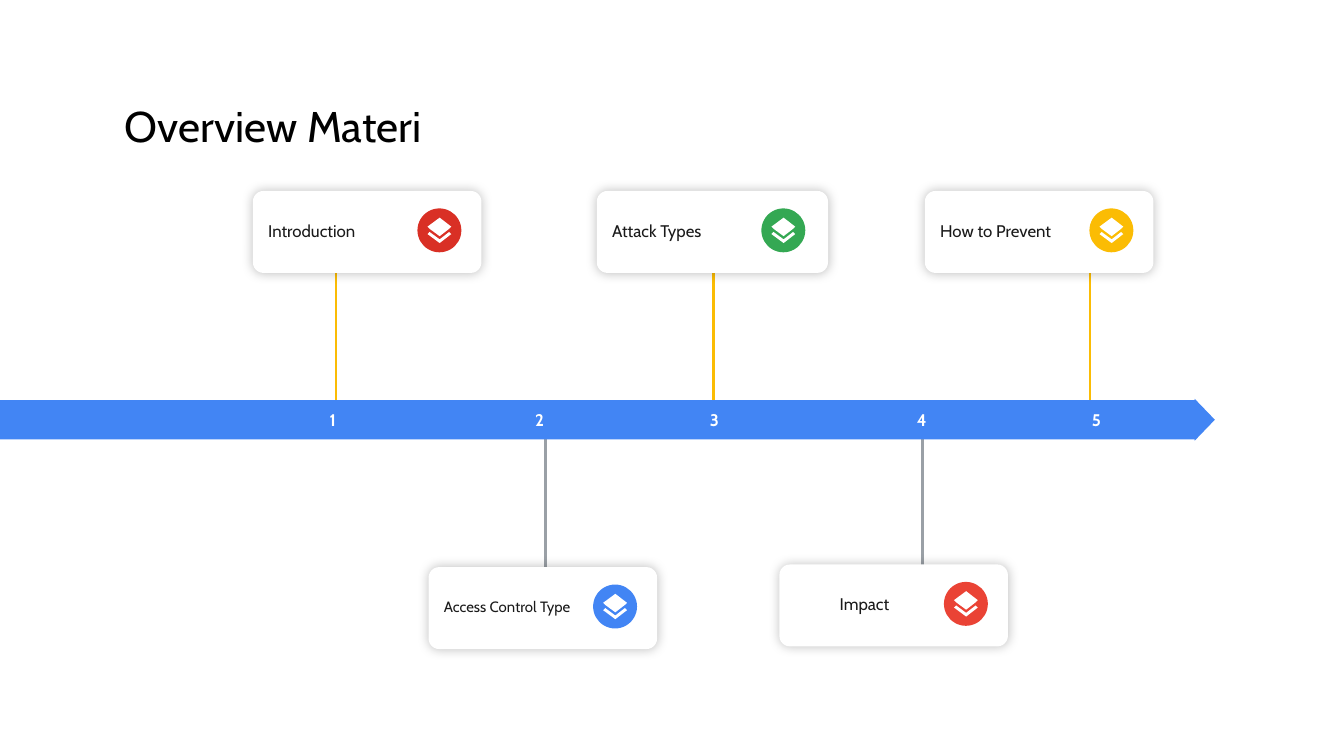
from dataclasses import dataclass

from lxml.etree import SubElement
from pptx import Presentation
from pptx.dml.color import RGBColor
from pptx.enum.shapes import MSO_CONNECTOR as Connector, MSO_SHAPE as Shape
from pptx.enum.text import MSO_ANCHOR as Anchor, PP_ALIGN as Align
from pptx.oxml.ns import qn
from pptx.util import Cm, Pt

FONT = "Cabin"
BAR_TOP, BAR_HEIGHT = 7.54, 0.79
CARD_HEIGHT = 1.55
ICON_SIZE = 0.83
CHEVRON = [(0.23, 0.41), (0.41, 0.27), (0.45, 0.31), (0.23, 0.48), (0, 0.31), (0.04, 0.27)]
DIAMOND = [(0.23, 0.35), (0.04, 0.21), (0, 0.17), (0.23, 0), (0.45, 0.17), (0.41, 0.21)]


@dataclass
class Step:
    label: str
    color: str
    left: float
    top: float
    line_x: float
    number_x: float
    width: float = 4.32
    size: float = 9
    indent: float = 0

    @property
    def above(self):
        return self.top < BAR_TOP


STEPS = [
    Step("Introduction", "D93025", 4.78, 3.61, 6.35, 6.29),
    Step("Access Control Type", "4285F4", 8.1, 10.72, 10.31, 10.2, size=8),
    Step("Attack Types", "34A853", 11.28, 3.61, 13.48, 13.5, width=4.37),
    Step("Impact", "EA4335", 14.73, 10.67, 17.43, 17.42, indent=0.85),
    Step("How to Prevent", "FBBC04", 17.48, 3.61, 20.6, 20.72),
]


def rgb(value):
    return RGBColor.from_string(value)


def write(shape, text, size=9, color="1A1A1A", bold=False, align=Align.LEFT,
          anchor=Anchor.MIDDLE, inset=0, indent=0, spacing=1.0):
    frame = shape.text_frame
    frame.word_wrap = True
    frame.vertical_anchor = anchor
    frame.margin_left = Cm(inset + indent)
    frame.margin_top = frame.margin_right = frame.margin_bottom = Cm(inset)
    para = frame.paragraphs[0]
    para.alignment = align
    para.line_spacing = spacing
    span = para.add_run()
    span.text = text
    span.font.name = FONT
    span.font.size = Pt(size)
    span.font.bold = bold
    span.font.color.rgb = rgb(color)


def paint(shape, color):
    shape.shadow.inherit = False
    shape.fill.solid()
    shape.fill.fore_color.rgb = rgb(color)
    shape.line.fill.background()


def add_filled(page, kind, left, top, width, height, color):
    shape = page.shapes.add_shape(kind, Cm(left), Cm(top), Cm(width), Cm(height))
    paint(shape, color)
    return shape


def add_soft_shadow(shape):
    effects = shape._element.spPr.find(qn("a:effectLst"))
    shadow = SubElement(effects, qn("a:outerShdw"), blurRad=str(Pt(6)), dist="0",
                        algn="ctr", rotWithShape="0")
    black = SubElement(shadow, qn("a:srgbClr"), val="000000")
    SubElement(black, qn("a:alpha"), val="25000")


def add_title(page, left, top, width, height):
    box = page.shapes.add_textbox(Cm(left), Cm(top), Cm(width), Cm(height))
    write(box, "Overview Materi", size=23, color="000000", anchor=Anchor.BOTTOM)


def add_stem(page, step):
    if step.above:
        start, end, color = BAR_TOP + 0.1, step.top + 0.9, "FBBC04"
    else:
        start, end, color = BAR_TOP + BAR_HEIGHT - 0.15, step.top + 0.86, "9AA0A6"
    x = Cm(step.line_x)
    stem = page.shapes.add_connector(Connector.STRAIGHT, x, Cm(end), x, Cm(start))
    stem.line.color.rgb = rgb(color)
    stem.line.width = Pt(1.5)
    SubElement(stem._element.spPr, qn("a:effectLst"))


def add_bar(page, left, top, width, height):
    bar = add_filled(page, Shape.RIGHT_ARROW, left, top, width, height, "4285F4")
    bar.adjustments[0] = 0.94
    bar.adjustments[1] = 0.48
    box_width = 2.31
    for number, step in enumerate(STEPS, 1):
        box = page.shapes.add_textbox(Cm(step.number_x - box_width / 2), Cm(top),
                                      Cm(box_width), Cm(height))
        write(box, str(number), color="FFFFFF", bold=True, align=Align.CENTER)


def add_icon(page, left, top, size, color):
    add_filled(page, Shape.OVAL, left, top, size, size, color)
    x, y = left + (size - 0.45) / 2, top + (size - 0.48) / 2
    builder = None
    for outline in (CHEVRON, DIAMOND):
        first, *rest = [(Cm(x + dx), Cm(y + dy)) for dx, dy in outline]
        if builder is None:
            builder = page.shapes.build_freeform(*first)
        else:
            builder.move_to(*first)
        builder.add_line_segments(rest, close=True)
    paint(builder.convert_to_shape(), "FFFFFF")


def add_card(page, step):
    card = add_filled(page, Shape.ROUNDED_RECTANGLE, step.left, step.top,
                      step.width, CARD_HEIGHT, "FFFFFF")
    card.adjustments[0] = 0.13
    add_soft_shadow(card)
    write(card, step.label, size=step.size, inset=0.23, indent=step.indent, spacing=0.9)
    add_icon(page, step.left + 3.11, step.top + 0.33, ICON_SIZE, step.color)


def main():
    deck = Presentation()
    deck.slide_width, deck.slide_height = Cm(25.4), Cm(14.29)
    page = deck.slides.add_slide(deck.slide_layouts[6])
    for step in STEPS:
        add_stem(page, step)
    add_bar(page, -0.05, BAR_TOP, 23.01, BAR_HEIGHT)
    for step in STEPS:
        add_card(page, step)
    add_title(page, 2.36, 1.83, 10.57, 1.02)
    deck.save("out.pptx")


if __name__ == "__main__":
    main()
